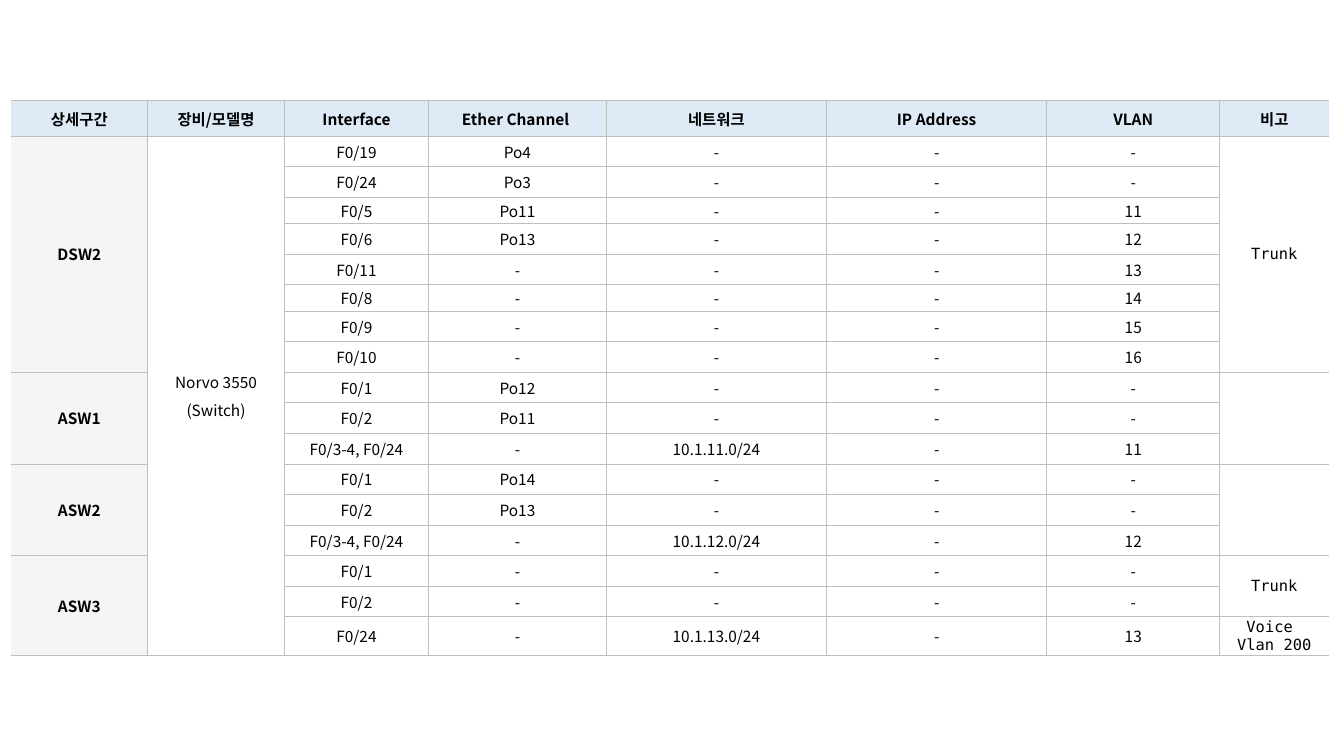
"""Builds a slide with the switch interface and VLAN table."""
from lxml.etree import SubElement
from pptx import Presentation
from pptx.dml.color import RGBColor as Color
from pptx.enum.text import MSO_VERTICAL_ANCHOR as Anchor, PP_PARAGRAPH_ALIGNMENT as Align
from pptx.oxml import parse_xml
from pptx.oxml.ns import nsdecls, qn
from pptx.util import Cm, Pt

COLORS = {"text": "000000", "header": "DEEBF7", "section": "F2F2F2", "border": "BFBFBF"}
FONTS = {"body": "Noto Sans CJK KR", "note": "DejaVu Sans Mono"}
NO_STYLE = "{2D5ABB26-0587-4C30-8999-92F81FD0307C}"

HEADERS = ["상세구간", "장비/모델명", "Interface", "Ether Channel ",
           "네트워크", "IP Address", "VLAN", "비고"]
COLUMN_WIDTHS = [3.44, 3.45, 3.63, 4.48, 5.55, 5.55, 4.36, 2.75]
ROW_HEIGHTS = [0.9] + [0.77] * 16 + [0.97]
ROW_HEIGHTS[3] = ROW_HEIGHTS[6] = 0.66
DEVICE = "Norvo 3550\n(Switch)"
SECTIONS = {
    "DSW2": [("F0/19", "Po4", "-", "-"), ("F0/24", "Po3", "-", "-"),
             ("F0/5", "Po11", "-", "11"), ("F0/6", "Po13", "-", "12"),
             ("F0/11", "-", "-", "13"), ("F0/8", "-", "-", "14"),
             ("F0/9", "-", "-", "15"), ("F0/10", "-", "-", "16")],
    "ASW1": [("F0/1", "Po12", "-", "-"), ("F0/2", "Po11", "-", "-"),
             ("F0/3-4, F0/24", "-", "10.1.11.0/24", "11")],
    "ASW2": [("F0/1", "Po14", "-", "-"), ("F0/2", "Po13", "-", "-"),
             ("F0/3-4, F0/24", "-", "10.1.12.0/24", "12")],
    "ASW3": [("F0/1", "-", "-", "-"), ("F0/2", "-", "-", "-"),
             ("F0/24", "-", "10.1.13.0/24", "13")],
}
NOTES = [("Trunk", 8), ("", 3), ("", 3), ("Trunk", 2), ("Voice \nVlan 200", 1)]


def apply(target, values):
    for name, value in values.items():
        setattr(target, name, value)


class TableSlide:
    def __init__(self, presentation):
        self.slide = presentation.slides.add_slide(presentation.slide_layouts[6])
        self.font = {"size": Pt(11)}
        self.section_rows = len(SECTIONS["DSW2"])

    def add_table(self, left, top):
        shape = self.slide.shapes.add_table(
            len(ROW_HEIGHTS), len(COLUMN_WIDTHS), Cm(left), Cm(top),
            Cm(sum(COLUMN_WIDTHS)), Cm(sum(ROW_HEIGHTS)))
        self.table = shape.table
        apply(self.table, {"first_row": False, "horz_banding": False})
        self.table._tbl.tblPr.find(qn("a:tableStyleId")).text = NO_STYLE
        for column, width in zip(self.table.columns, COLUMN_WIDTHS):
            column.width = Cm(width)
        for row, height in zip(self.table.rows, ROW_HEIGHTS):
            row.height = Cm(height)

    def add_cell(self, row, column, text, span=1):
        for offset in range(span):
            self.frame_cell(row + offset, column)
        cell = self.table.cell(row, column)
        if span > 1:
            cell.merge(self.table.cell(row + span - 1, column))
        if text:
            self.add_text(cell, row, column, text)

    def add_text(self, cell, row, column, text):
        spaced = 1 <= row <= self.section_rows and column > 0
        face = FONTS["note" if row and column == len(HEADERS) - 1 else "body"]
        layout = {"alignment": Align.CENTER, "space_before": Pt(3 if spaced else 0),
                  "space_after": Pt(1 if spaced else 0)}
        cell.text = text
        for paragraph in cell.text_frame.paragraphs:
            apply(paragraph, layout)
            for run in paragraph.runs:
                apply(run.font, {**self.font, "name": face, "bold": row == 0 or column == 0})
                run.font.color.rgb = Color.from_string(COLORS["text"])
                SubElement(run.font._element, qn("a:ea")).set("typeface", face)

    def frame_cell(self, row, column):
        cell = self.table.cell(row, column)
        compact = 1 <= row <= self.section_rows and column > 1
        side, edge = (Cm(0.05), Cm(0.05)) if compact else (Cm(0.2), 0)
        apply(cell, {"vertical_anchor": Anchor.MIDDLE, "margin_left": side,
                     "margin_right": side, "margin_top": edge, "margin_bottom": edge})
        if row and column:
            cell.fill.background()
        else:
            cell.fill.solid()
            cell.fill.fore_color.rgb = Color.from_string(COLORS["section" if row else "header"])
        properties = cell._tc.get_or_add_tcPr()
        if row and not column:
            SubElement(properties.find(".//" + qn("a:srgbClr")), qn("a:alpha")).set("val", "70000")
        sides = {"L": column > 0, "R": column < len(HEADERS) - 1, "T": True, "B": True}
        for index, (name, visible) in enumerate(sides.items()):
            paint = (f'<a:solidFill><a:srgbClr val="{COLORS["border"]}"/></a:solidFill>'
                     if visible else "<a:noFill/>")
            properties.insert(index, parse_xml(
                f'<a:ln{name} {nsdecls("a")} w="{Pt(0.5)}">{paint}</a:ln{name}>'))


def main():
    presentation = Presentation()
    apply(presentation, {"slide_width": Cm(33.87), "slide_height": Cm(19.05)})
    page = TableSlide(presentation)
    page.add_table(0.28, 2.53)
    for column, title in enumerate(HEADERS):
        page.add_cell(0, column, title)
    page.add_cell(1, 1, DEVICE, len(ROW_HEIGHTS) - 1)
    row = 1
    for section, ports in SECTIONS.items():
        page.add_cell(row, 0, section, len(ports))
        for interface, channel, network, vlan in ports:
            for column, text in enumerate((interface, channel, network, "-", vlan), 2):
                page.add_cell(row, column, text)
            row += 1
    row = 1
    for note, span in NOTES:
        page.add_cell(row, len(HEADERS) - 1, note, span)
        row += span
    presentation.save("out.pptx")


if __name__ == "__main__":
    main()
